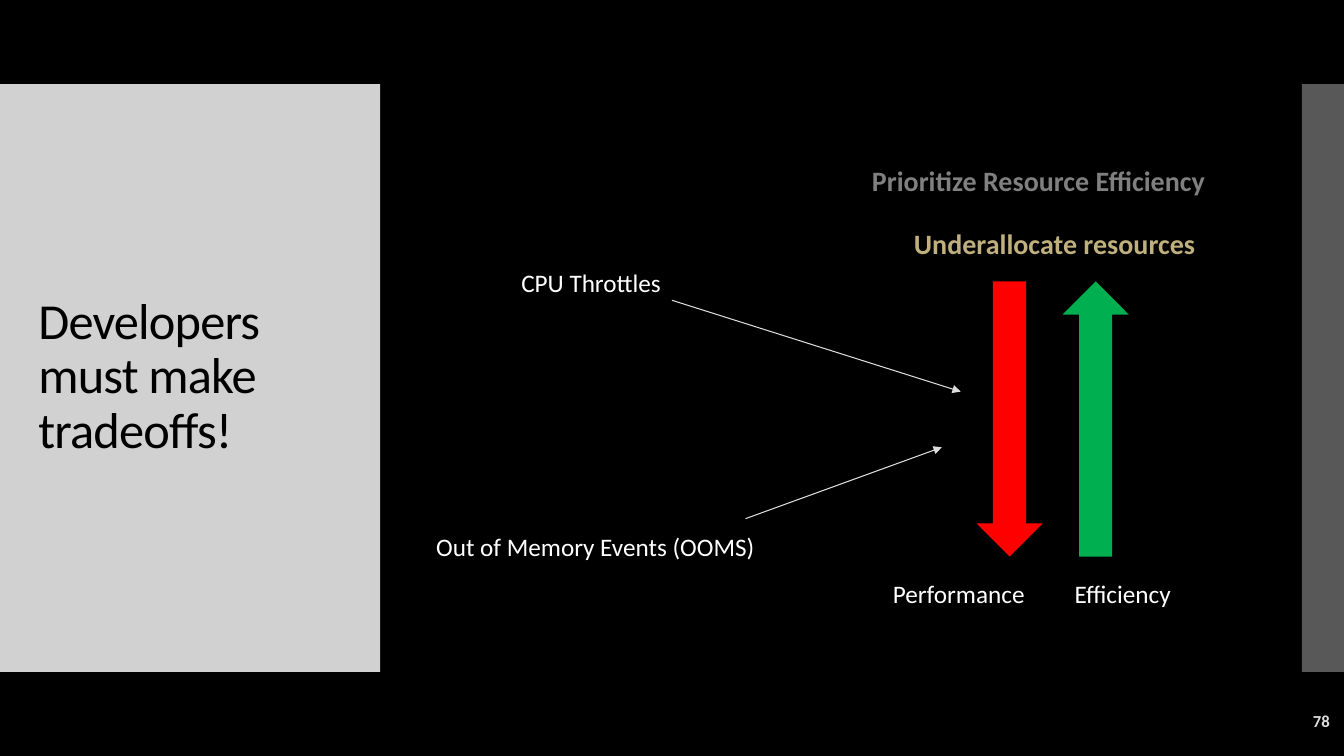
from lxml import etree
from pptx import Presentation, util as u
from pptx.dml.color import RGBColor
from pptx.enum import shapes, text
from pptx.oxml.ns import qn

PX = 9525  # 96 px to the inch
BLACK, WHITE, PALE = "000000", "FFFFFF", "DDDDDD"
GREY, GOLD, RED, GREEN = "808080", "BFB07D", "FF0000", "00B050"


def rgb(value):
    return RGBColor.from_string(value)


def px(*lengths):
    return [u.Emu(length * PX) for length in lengths]


class SlideBuilder:
    font_name = "Calibri"

    def __init__(self, slide):
        self.slide = slide
        background = slide.background.fill
        background.solid()
        background.fore_color.rgb = rgb(BLACK)

    def set_text(self, shape, words, size, color, bold=False, anchor="TOP",
                 align="LEFT", line_spacing=None, tracking=None):
        frame = shape.text_frame
        frame.text = words
        paragraph = frame.paragraphs[0]
        run = paragraph.runs[0]
        formats = (
            (frame, {"word_wrap": True, "auto_size": text.MSO_AUTO_SIZE.NONE,
                     "vertical_anchor": text.MSO_ANCHOR[anchor]}),
            (paragraph, {"alignment": text.PP_ALIGN[align],
                         "line_spacing": line_spacing}),
            (run.font, {"name": self.font_name, "size": u.Pt(size), "bold": bold}),
        )
        for target, values in formats:
            for name, value in values.items():
                setattr(target, name, value)
        run.font.color.rgb = rgb(color)
        if tracking is not None:
            run._r.get_or_add_rPr().set("spc", str(tracking))

    def title(self, box, words, **style):
        title = self.slide.shapes.title
        for name, value in zip(("left", "top", "width", "height"), px(*box)):
            setattr(title, name, value)
        self.set_text(title, words, **style)

    def label(self, box, words, size=18, color=WHITE, **style):
        self.set_text(self.slide.shapes.add_textbox(*px(*box)), words, size, color, **style)

    def block(self, kind, box, color, opacity=100, rotation=0):
        shape = self.slide.shapes.add_shape(kind, *px(*box))
        shape.shadow.inherit = False
        shape.rotation = rotation
        shape.line.fill.background()
        shape.fill.solid()
        shape.fill.fore_color.rgb = rgb(color)
        if opacity < 100:
            color_element = shape._element.spPr.find(".//" + qn("a:srgbClr"))
            alpha = etree.SubElement(color_element, qn("a:alpha"))
            alpha.set("val", str(opacity * 1000))

    def arrow(self, start, end):
        connector = self.slide.shapes.add_connector(
            shapes.MSO_CONNECTOR.STRAIGHT, *px(*start, *end))
        connector.line.color.rgb = rgb(PALE)
        connector.line.width = u.Pt(0.75)
        properties = connector._element.spPr
        head = etree.SubElement(properties.find(qn("a:ln")), qn("a:tailEnd"))
        head.set("type", "triangle")
        etree.SubElement(properties, qn("a:effectLst"))


def main():
    presentation = Presentation()
    presentation.slide_width, presentation.slide_height = px(1280, 720)
    builder = SlideBuilder(presentation.slides.add_slide(presentation.slide_layouts[5]))

    # Side panels
    rectangle = shapes.MSO_SHAPE.RECTANGLE
    for left, width, opacity in ((0, 362, 95), (1240, 40, 40)):
        builder.block(rectangle, (left, 80, width, 560), PALE, opacity)

    # Title, drawn above the panels
    title_element = builder.slide.shapes.title._element
    title_element.getparent().append(title_element)
    builder.title((27, 118, 309, 483), "Developers must make tradeoffs!", size=36,
                  color=BLACK, anchor="MIDDLE", line_spacing=0.9, tracking=-60)

    # Headings above the arrows
    for left, top, words, color in (
            (821, 108, "Prioritize Resource Efficiency", GREY),
            (861, 168, "Underallocate resources", GOLD)):
        builder.label((left, top, 365, 85), words, 20, color, bold=True,
                      anchor="BOTTOM", line_spacing=0.9)

    # Opposing block arrows
    for left, color, rotation in ((1012, GREEN, 180), (930, RED, 0)):
        builder.block(shapes.MSO_SHAPE.DOWN_ARROW, (left, 268, 63, 262), color,
                      rotation=rotation)

    # Labels
    for left, top, width, words in (
            (841, 546, 163, "Performance"),
            (1014, 546, 163, "Efficiency"),
            (406, 501, 365, "Out of Memory Events (OOMS)"),
            (487, 250, 259, "CPU Throttles")):
        builder.label((left, top, width, 38), words)

    # Pointers from causes to lost performance
    builder.arrow((640, 286), (915, 373))
    builder.arrow((710, 494), (897, 426))

    # Slide number
    builder.label((1116, 667, 160, 38), "78", 12, PALE, bold=True,
                  anchor="MIDDLE", align="RIGHT")

    presentation.save("out.pptx")


if __name__ == "__main__":
    main()
